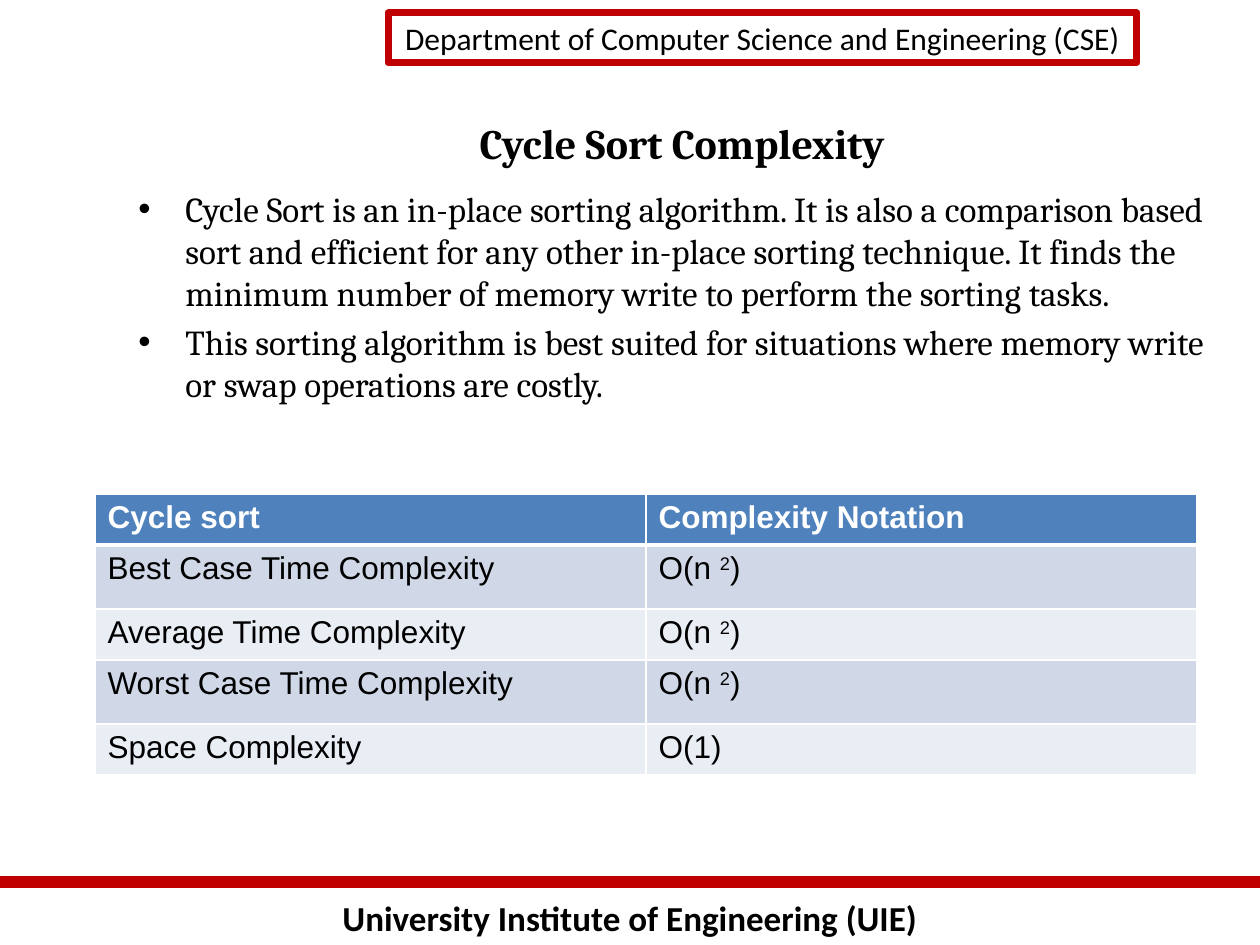
from lxml.etree import SubElement
from pptx import Presentation
from pptx.dml.color import RGBColor
from pptx.enum.shapes import MSO_CONNECTOR, MSO_SHAPE
from pptx.enum.text import MSO_ANCHOR, PP_ALIGN
from pptx.oxml.ns import qn
from pptx.util import Emu, Pt

SCALE = 914400 / 126  # EMU per px


def px(*lengths):
    return [Emu(round(length * SCALE)) for length in lengths]


def write(paragraph, text, style, align=PP_ALIGN.LEFT):
    """Add a run, taking its font values from a dict."""
    paragraph.alignment = align
    run = paragraph.add_run()
    run.text = text
    for name, value in style.items():
        if name == "color":
            run.font.color.rgb = RGBColor.from_string(value)
        else:
            setattr(run.font, name, value)
    return run


RED, BLACK, WHITE = "C00000", "000000", "FFFFFF"
FOOTER = {"name": "Calibri", "size": Pt(20), "bold": True, "color": BLACK}
DEPARTMENT = {"name": "Calibri", "size": Pt(18), "color": BLACK}
TITLE = {"name": "Cambria", "size": Pt(24), "bold": True, "color": BLACK}
BODY = {"name": "Cambria", "size": Pt(20), "color": BLACK}
CELL = {"name": "Arial", "size": Pt(18), "bold": False, "color": BLACK}
HEADER = CELL | {"bold": True, "color": WHITE}

prs = Presentation()
prs.slide_width, prs.slide_height = px(1260, 945)
slide = prs.slides.add_slide(prs.slide_layouts[6])
shapes = slide.shapes

# Footer with its red rule
footer = shapes.add_textbox(*px(0, 890, 1260, 55)).text_frame
footer.word_wrap = True
write(footer.paragraphs[0], "University Institute of Engineering (UIE)", FOOTER, PP_ALIGN.CENTER)

rule = shapes.add_connector(MSO_CONNECTOR.STRAIGHT, *px(0, 882, 1260, 882))
rule.line.color.rgb = RGBColor.from_string(RED)
rule.line.width = Pt(7)
SubElement(rule._element.spPr, qn("a:effectLst"))

# Department banner
banner = shapes.add_shape(MSO_SHAPE.RECTANGLE, *px(388, 13, 749, 50))
banner.shadow.inherit = False
banner.fill.background()
banner.line.color.rgb = RGBColor.from_string(RED)
banner.line.width = Pt(4)
banner.text_frame.word_wrap = False
banner.text_frame.vertical_anchor = MSO_ANCHOR.TOP
write(banner.text_frame.paragraphs[0], "Department of Computer Science and Engineering (CSE)",
      DEPARTMENT, PP_ALIGN.CENTER)

# Title
title = shapes.add_textbox(*px(136, 95, 1092, 95)).text_frame
title.word_wrap = True
title.vertical_anchor = MSO_ANCHOR.MIDDLE
write(title.paragraphs[0], "Cycle Sort Complexity", TITLE, PP_ALIGN.CENTER)

# Bullet points
points = [
    "Cycle Sort is an in-place sorting algorithm. It is also a comparison based sort and "
    "efficient for any other in-place sorting technique. It finds the minimum number of "
    "memory write to perform the sorting tasks.",
    "This sorting algorithm is best suited for situations where memory write or swap "
    "operations are costly.",
]
body = shapes.add_textbox(*px(126, 181, 1102, 683)).text_frame
body.word_wrap = True
indent = px(47)[0]
for index, point in enumerate(points):
    paragraph = body.add_paragraph() if index else body.paragraphs[0]
    properties = paragraph._p.get_or_add_pPr()
    properties.set("marL", str(indent))
    properties.set("indent", str(-indent))
    SubElement(properties, qn("a:buFont"), typeface="Arial")
    SubElement(properties, qn("a:buChar"), char="•")
    if index:
        paragraph.space_before = Pt(4)
    write(paragraph, point, BODY)

# Complexity table: each cell is (text, superscript, text after it)
quadratic = ("O(n ", "2", ")")
rows = [
    (("Cycle sort",), ("Complexity Notation",)),
    (("Best Case Time Complexity",), quadratic),
    (("Average Time Complexity",), quadratic),
    (("Worst Case Time Complexity",), quadratic),
    (("Space Complexity",), ("O(1)",)),
]
row_heights = px(51, 64, 51, 64, 51)
table = shapes.add_table(len(rows), 2, *px(95, 494, 1102, 281)).table
for row_index, row in enumerate(rows):
    table.rows[row_index].height = row_heights[row_index]
    is_header = row_index == 0
    band = "4F81BD" if is_header else ("E9EDF4", "D0D8E8")[row_index % 2]
    for column_index, parts in enumerate(row):
        cell = table.cell(row_index, column_index)
        for part_index, part in enumerate(parts):
            run = write(cell.text_frame.paragraphs[0], part, HEADER if is_header else CELL)
            if part_index == 1:
                run._r.get_or_add_rPr().set("baseline", "30000")

        # Borders come before the fill in the cell properties
        cell_properties = cell._tc.get_or_add_tcPr()
        for side in "LRTB":
            thick = (is_header and side == "B") or (row_index == 1 and side == "T")
            border = SubElement(cell_properties, qn(f"a:ln{side}"), w=str(Pt(3 if thick else 1)))
            SubElement(SubElement(border, qn("a:solidFill")), qn("a:srgbClr"), val=WHITE)
        cell.fill.solid()
        cell.fill.fore_color.rgb = RGBColor.from_string(band)

prs.save("out.pptx")
